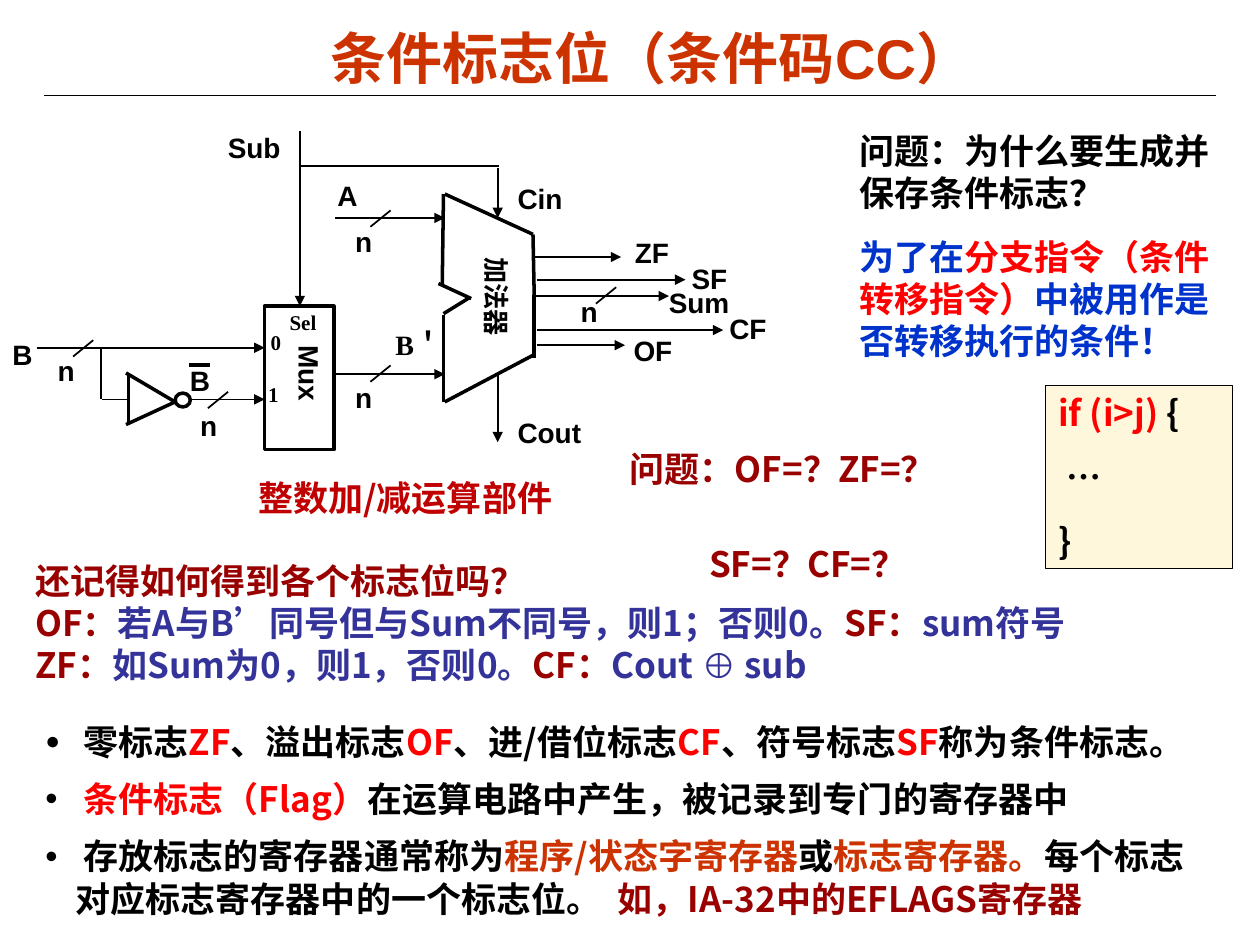
from lxml import etree
from pptx import Presentation
from pptx.dml.color import RGBColor
from pptx.enum.shapes import MSO_CONNECTOR, MSO_SHAPE
from pptx.enum.text import MSO_ANCHOR, MSO_AUTO_SIZE, PP_ALIGN
from pptx.oxml.ns import qn
from pptx.util import Inches, Pt

STRAIGHT = MSO_CONNECTOR.STRAIGHT
OVAL, RECTANGLE = MSO_SHAPE.OVAL, MSO_SHAPE.RECTANGLE
MIDDLE, TOP = MSO_ANCHOR.MIDDLE, MSO_ANCHOR.TOP
LEFT, CENTER = PP_ALIGN.LEFT, PP_ALIGN.CENTER
FIXED = MSO_AUTO_SIZE.NONE
SANS, CJK, SERIF = "Arial", "Noto Sans CJK SC", "Times New Roman"
COLORS = {
    "black": "000000", "red": "FF0000", "orange": "CC3300", "maroon": "990000",
    "crimson": "C00000", "indigo": "333399", "blue": "0033CC", "gold": "FFCC00",
}

presentation = Presentation()
presentation.slide_width, presentation.slide_height = Inches(10), Inches(7.5)
slide = presentation.slides.add_slide(presentation.slide_layouts[1])
shapes = slide.shapes


def write(shape, paragraphs, size=20, font=CJK, before=0, bullets=(),
          align=LEFT, anchor=TOP, wrap=True):
    frame = shape.text_frame
    frame.auto_size, frame.word_wrap, frame.vertical_anchor = FIXED, wrap, anchor
    for index, runs in enumerate(paragraphs):
        paragraph = frame.add_paragraph() if index else frame.paragraphs[0]
        paragraph.alignment = align
        paragraph.space_before = Pt(before if index else 0)
        if bullets:
            symbol, percent = bullets[index]
            properties = paragraph._p.get_or_add_pPr()
            properties.set("marL", str(Inches(0.24)))
            properties.set("indent", str(-Inches(0.24)))
            color = etree.SubElement(properties, qn("a:buClr"))
            etree.SubElement(color, qn("a:srgbClr"), val=COLORS["black"])
            etree.SubElement(properties, qn("a:buSzPct"), val=str(percent * 1000))
            etree.SubElement(properties, qn("a:buFont"), typeface=SANS)
            etree.SubElement(properties, qn("a:buChar"), char=symbol)
        paragraph.font.size, paragraph.font.bold = Pt(size), True
        paragraph.font.name = font
        for text, color_name in runs:
            run = paragraph.add_run()
            run.text = text
            run.font.color.rgb = RGBColor.from_string(COLORS[color_name])
            if text == "⊕":
                run.font.name = SANS


def add_line(x1, y1, x2, y2, width=1, arrow=False):
    line = shapes.add_connector(
        STRAIGHT, Inches(x1), Inches(y1), Inches(x2), Inches(y2))
    line.line.width = Pt(width)
    line.line.color.rgb = RGBColor.from_string(COLORS["black"])
    if arrow:
        etree.SubElement(line.line._get_or_add_ln(), qn("a:tailEnd"), type="triangle")
    etree.SubElement(line._element.spPr, qn("a:effectLst"))


add_line(0.35, 0.76, 9.65, 0.76, 0.75)

title, body = shapes.title, slide.placeholders[1]
title.left, title.top, title.width, title.height = map(Inches, (1.16, 0.15, 8.02, 0.6))
write(title, [[("条件标志位（条件码CC）", "orange")]], 32, SANS, align=CENTER, anchor=MIDDLE)

body.left, body.top, body.width, body.height = map(Inches, (0.26, 5.5, 9.5, 2.01))
write(body, [
    [(" 零标志", "black"), ("ZF", "red"), ("、溢出标志", "black"), ("OF", "red"),
     ("、进/借位标志", "black"), ("CF", "red"), ("、符号标志", "black"), ("SF", "red"),
     ("称为条件标志。", "black")],
    [(" ", "black"), ("条件标志（Flag）", "red"),
     ("在运算电路中产生，被记录到专门的寄存器中", "black")],
    [(" 存放标志的寄存器通常称为", "black"), ("程序/状态字寄存器", "orange"),
     ("或", "black"), ("标志寄存器。", "orange"),
     ("每个标志对应标志寄存器中的一个标志位。 ", "black"),
     (" 如，IA-32中的EFLAGS寄存器", "maroon")],
], before=8.8, bullets=[("●", 70), ("•", 100), ("•", 100)], anchor=MIDDLE)

flag_question = shapes.add_textbox(Inches(4.9), Inches(3.5), Inches(2.9), Inches(1.19))
write(flag_question, [[("问题：OF=？ZF=？", "maroon")], [("SF=？CF=？", "maroon")]], before=30.2)
flag_question.text_frame.paragraphs[1]._p.pPr.set("marL", str(Inches(0.63)))

flag_rules = shapes.add_textbox(Inches(0.18), Inches(4.39), Inches(9.49), Inches(1.1))
write(flag_rules, [
    [("还记得如何得到各个标志位吗？", "maroon")],
    [("OF：", "maroon"), ("若A与B’同号但与Sum不同号，则1；否则0。", "indigo"),
     ("SF：", "maroon"), ("sum符号", "indigo")],
    [("ZF：", "maroon"), ("如Sum为0，则1，否则0。", "indigo"), ("CF：", "maroon"),
     ("Cout ", "indigo"), ("⊕", "indigo"), (" sub", "indigo")],
])

adder_outline = [
    (3.52, 1.54, 3.51, 2.26), (3.53, 1.54, 4.23, 1.86), (3.48, 2.25, 3.74, 2.37),
    (4.23, 1.86, 4.24, 2.34), (3.52, 3.19, 3.52, 2.5), (3.53, 3.19, 4.23, 2.82),
    (3.52, 2.49, 3.73, 2.36), (4.24, 2.84, 4.24, 2.34),
]
inverter_outline = [
    (1.39, 3.19, 1, 2.96), (1.39, 3.19, 1, 3.37), (1.02, 2.98, 1.02, 3.37),
]
for ends in adder_outline + inverter_outline:
    add_line(*ends, width=2)

signal_arrows = [
    (2.66, 1.73, 3.53, 1.73), (2.66, 2.97, 3.53, 2.97), (0.29, 2.76, 2.1, 2.76),
    (1.51, 3.17, 2.1, 3.17), (2.38, 1.04, 2.38, 2.43), (3.95, 1.33, 3.95, 1.73),
    (3.95, 2.98, 3.95, 3.51), (4.23, 2.04, 4.93, 2.04), (4.26, 2.22, 5.44, 2.22),
    (4.24, 2.35, 5.31, 2.35), (4.26, 2.62, 5.74, 2.62), (4.26, 2.74, 4.96, 2.74),
]
for ends in signal_arrows:
    add_line(*ends, arrow=True)

for x, y in [(2.94, 1.8), (2.94, 3.03), (4.73, 2.41), (0.58, 2.83), (1.65, 3.24)]:
    add_line(x + 0.16, y - 0.13, x, y)

for ends in [(0.8, 2.77, 0.8, 3.17), (0.81, 3.17, 1.01, 3.17), (3.96, 1.32, 2.37, 1.32)]:
    add_line(*ends)
add_line(1.5, 2.9, 1.67, 2.9, 2.25)

for kind, *box in [(OVAL, 1.39, 3.12, 0.12, 0.11), (RECTANGLE, 2.1, 2.43, 0.55, 1.14)]:
    gate = shapes.add_shape(kind, *map(Inches, box))
    gate.shadow.inherit = False
    gate.fill.background()
    gate.line.color.rgb = RGBColor.from_string(COLORS["black"])
    gate.line.width = Pt(2)

labels = [
    ("Sum", 5.21, 2.22, 0.68, 0.36, 16, SANS), ("n", 2.72, 1.73, 0.33, 0.36, 16, SANS),
    ("n", 2.72, 2.97, 0.33, 0.36, 16, SANS), ("n", 4.51, 2.29, 0.33, 0.36, 16, SANS),
    ("n", 0.36, 2.76, 0.33, 0.36, 16, SANS), ("n", 1.49, 3.19, 0.33, 0.36, 16, SANS),
    ("A", 2.58, 1.37, 0.36, 0.36, 16, SANS), ("B", 0, 2.63, 0.36, 0.36, 16, SANS),
    ("B", 1.41, 2.84, 0.36, 0.36, 16, SANS), ("ZF", 4.94, 1.82, 0.47, 0.36, 16, SANS),
    ("Cin", 4.01, 1.39, 0.56, 0.36, 16, SANS), ("Cout", 4.01, 3.25, 0.7, 0.36, 16, SANS),
    ("Sub", 1.71, 0.99, 0.62, 0.36, 16, SANS), ("OF", 4.93, 2.6, 0.51, 0.36, 16, SANS),
    ("SF", 5.39, 2.03, 0.59, 0.37, 16, SANS), ("CF", 5.69, 2.42, 0.6, 0.37, 16, SANS),
    ("B＇", 3.04, 2.55, 0.68, 0.37, 16, SERIF), ("0", 2.05, 2.57, 0.28, 0.3, 12, SERIF),
    ("1", 2.03, 2.98, 0.28, 0.3, 12, SERIF), ("Sel", 2.2, 2.41, 0.41, 0.3, 12, SERIF),
]
for text, left, top, width, height, size, font in labels:
    label = shapes.add_textbox(Inches(left), Inches(top), Inches(width), Inches(height))
    write(label, [[(text, "black")]], size, font, wrap=False)

for text, left, top, width, height, size in [
        ("加法器", 3.43, 2.28, 1.02, 0.35, 15), ("Mux", 2.07, 2.85, 0.78, 0.36, 16)]:
    unit_name = shapes.add_textbox(Inches(left), Inches(top), Inches(width), Inches(height))
    unit_name.rotation = 90
    write(unit_name, [[(text, "black")]], size, SANS)

caption = shapes.add_textbox(Inches(1.95), Inches(3.73), Inches(2.61), Inches(0.77))
write(caption, [[("整数加/减运算部件", "crimson")]])

purpose = shapes.add_textbox(Inches(6.72), Inches(0.98), Inches(3), Inches(1.94))
write(purpose, [
    [("问题：为什么要生成并保存条件标志？", "black")],
    [("为了在", "blue"), ("分支指令（条件转移指令）", "red"),
     ("中被用作是否转移执行的条件！", "blue")],
], font=SANS, before=12.5)

code = shapes.add_shape(RECTANGLE, Inches(8.3), Inches(3.06), Inches(1.48), Inches(1.45))
code.shadow.inherit = False
code.fill.solid()
code.fill.fore_color.rgb = RGBColor.from_string(COLORS["gold"])
fill_color = code._element.spPr.find(qn("a:solidFill")).find(qn("a:srgbClr"))
etree.SubElement(fill_color, qn("a:alpha"), val="14000")
code.line.color.rgb = RGBColor.from_string(COLORS["black"])
code.line.width = Pt(0.75)
write(code, [[("if (i>j)", "red"), (" {", "black")], [(" …", "black")], [("}", "black")]],
      before=12.5)

presentation.save("out.pptx")
